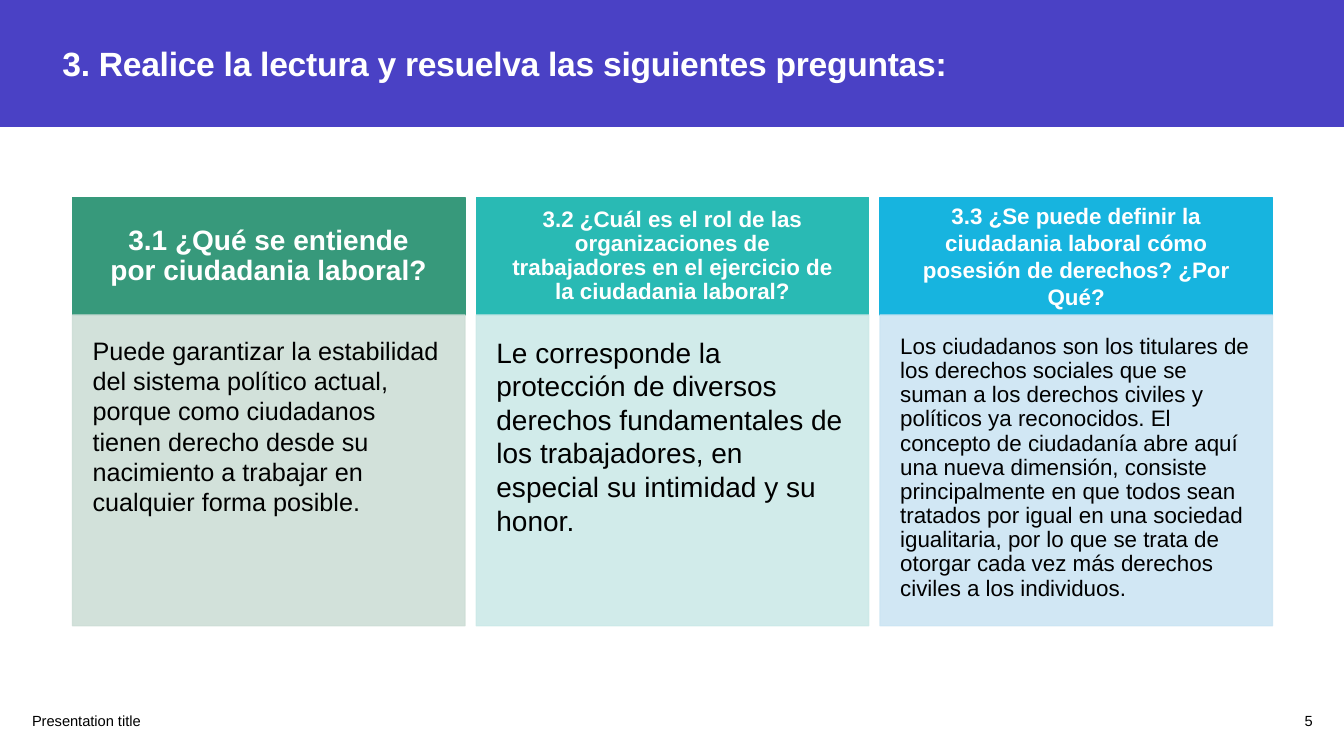
import pptx
import pptx.util
import pptx.dml.color
import pptx.enum.shapes
import pptx.enum.text
import pptx.oxml.ns
import lxml.etree

Pt = pptx.util.Pt
Anchor = pptx.enum.text.MSO_ANCHOR
Align = pptx.enum.text.PP_ALIGN

HEADING = "3. Realice la lectura y resuelva las siguientes preguntas:"
FOOTER = "Presentation title"
PAGE = "5"
CARDS = [
    {
        "question": "3.1 ¿Qué se entiende por ciudadania laboral?",
        "question_format": {"size": 20, "spacing": 0.9, "inset": 22.4},
        "answer": "Puede garantizar la estabilidad del sistema político actual, porque como "
                  "ciudadanos tienen derecho desde su nacimiento a trabajar en cualquier forma posible.",
        "answer_format": {"size": 18},
    },
    {
        "question": "3.2 ¿Cuál es el rol de las organizaciones de trabajadores en el ejercicio "
                    "de la ciudadania laboral?",
        "question_format": {"size": 16, "spacing": 0.9, "inset": 22.4},
        "answer": "Le corresponde la protección de diversos derechos fundamentales de los "
                  "trabajadores, en especial su intimidad y su honor.",
        "answer_format": {"size": 20},
    },
    {
        "question": "3.3 ¿Se puede definir la ciudadania laboral cómo posesión de derechos? ¿Por Qué?",
        "question_format": {"size": 16, "inset": 14.4},
        "answer": "Los ciudadanos son los titulares de los derechos sociales que se suman a los "
                  "derechos civiles y políticos ya reconocidos. El concepto de ciudadanía abre aquí "
                  "una nueva dimensión, consiste principalmente en que todos sean tratados por igual "
                  "en una sociedad igualitaria, por lo que se trata de otorgar cada vez más derechos "
                  "civiles a los individuos.",
        "answer_format": {"size": 16, "spacing": 0.9},
    },
]

THEME = {
    "font": "Arial",
    "band": "4A41C5",
    "light": "FFFFFF",
    "dark": "000000",
    "cards": [("37997B", "CEDED7"), ("29BAB4", "CCE9E8"), ("17B4DF", "CCE5F3")],
    "answer_opacity": 90,
    "heading_size": 24,
    "footer_size": 10.5,
}

SLIDE_W, SLIDE_H = 960, 540
BAND_H = 90.7
CARD_LEFT, CARD_TOP = 51.8, 141
CARD_W, CARD_GAP = 280.3, 8.1
QUESTION_H, ANSWER_H = 84, 222
FOOTER_TOP, FOOTER_H = 500.4, 28.8


def rgb(code):
    return pptx.dml.color.RGBColor.from_string(code)


def write(holder, text, *, size, color=THEME["dark"], bold=False, align=Align.LEFT,
          anchor=Anchor.MIDDLE, spacing=1.0, inset=None, tracking=None):
    frame = holder.text_frame
    frame.word_wrap = True
    frame.auto_size = pptx.enum.text.MSO_AUTO_SIZE.NONE
    frame.vertical_anchor = anchor
    if inset is not None:
        frame.margin_left = frame.margin_right = Pt(inset)
        frame.margin_top = frame.margin_bottom = Pt(inset)
    paragraph = frame.paragraphs[0]
    paragraph.alignment = align
    paragraph.line_spacing = spacing
    run = paragraph.add_run()
    run.text = text
    run.font.name = THEME["font"]
    run.font.size = Pt(size)
    run.font.bold = bold
    run.font.color.rgb = rgb(color)
    if tracking is not None:
        run.font._element.set("spc", str(round(tracking * 100)))


def add_block(slide, left, top, width, height, color, opacity=100):
    block = slide.shapes.add_shape(pptx.enum.shapes.MSO_SHAPE.RECTANGLE,
                                   Pt(left), Pt(top), Pt(width), Pt(height))
    block.shadow.inherit = False
    block.fill.solid()
    block.fill.fore_color.rgb = rgb(color)
    block.line.color.rgb = rgb(color)
    block.line.width = Pt(1)
    if opacity < 100:
        qn = pptx.oxml.ns.qn
        for tone in block._element.spPr.iter(qn("a:srgbClr")):
            lxml.etree.SubElement(tone, qn("a:alpha")).set("val", str(opacity * 1000))
    return block


def add_footer(slide, left, width, text, align):
    box = slide.shapes.add_textbox(Pt(left), Pt(FOOTER_TOP), Pt(width), Pt(FOOTER_H))
    write(box, text, size=THEME["footer_size"], align=align)


def main():
    deck = pptx.Presentation()
    deck.slide_width, deck.slide_height = Pt(SLIDE_W), Pt(SLIDE_H)
    slide = deck.slides.add_slide(deck.slide_layouts[5])

    heading = slide.shapes.title
    heading.left, heading.top = Pt(37.4), Pt(15.1)
    heading.width, heading.height = Pt(899.3), Pt(59.8)
    write(heading, HEADING, size=THEME["heading_size"], color=THEME["light"],
          bold=True, tracking=-0.2)

    band = add_block(slide, 0, 0, SLIDE_W, BAND_H, THEME["band"])
    band.line.fill.background()
    heading._element.addprevious(band._element)

    for index, (card, (strong, pale)) in enumerate(zip(CARDS, THEME["cards"])):
        left = CARD_LEFT + index * (CARD_W + CARD_GAP)
        question = add_block(slide, left, CARD_TOP, CARD_W, QUESTION_H, strong)
        write(question, card["question"], color=THEME["light"], bold=True,
              align=Align.CENTER, **card["question_format"])
        answer = add_block(slide, left, CARD_TOP + QUESTION_H, CARD_W, ANSWER_H,
                           pale, THEME["answer_opacity"])
        write(answer, card["answer"], anchor=Anchor.TOP, inset=14.4, **card["answer_format"])

    add_footer(slide, 15.8, 380.9, FOOTER, Align.LEFT)
    add_footer(slide, 895, 49.7, PAGE, Align.RIGHT)

    deck.save("out.pptx")


if __name__ == "__main__":
    main()
